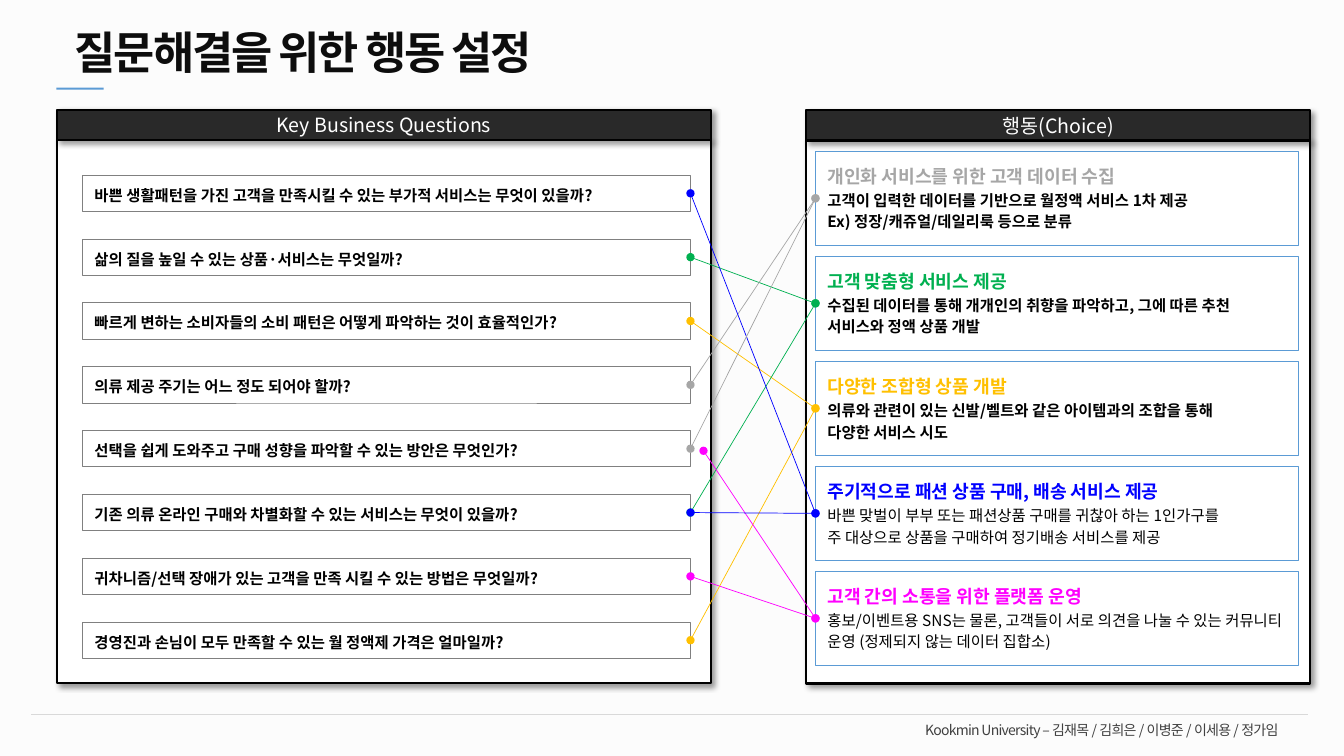
from lxml.etree import SubElement as Sub
from pptx import Presentation
from pptx.dml.color import RGBColor as RGB
from pptx.enum.shapes import MSO_CONNECTOR as CONN, MSO_SHAPE as SHAPE
from pptx.enum.text import MSO_ANCHOR as ANCHOR, PP_ALIGN as ALIGN
from pptx.oxml.ns import qn
from pptx.util import Pt

FONT = "Noto Sans CJK KR"
COLORS = {
    "white": "FFFFFF", "black": "000000", "veil": "F2F2F2", "bar": "292929",
    "title": "0D0D0D", "foot": "404040", "rule": "D9D9D9", "edge": "808080",
    "accent": "5B9BD5", "gray": "A6A6A6", "green": "00B050",
    "gold": "FFC000", "blue": "0000FF", "pink": "FF00FF",
}
ASKS = [
    "바쁜 생활패턴을 가진 고객을 만족시킬 수 있는 부가적 서비스는 무엇이 있을까?",
    "삶의 질을 높일 수 있는 상품·서비스는 무엇일까?",
    "빠르게 변하는 소비자들의 소비 패턴은 어떻게 파악하는 것이 효율적인가?",
    "의류 제공 주기는 어느 정도 되어야 할까?",
    "선택을 쉽게 도와주고 구매 성향을 파악할 수 있는 방안은 무엇인가?",
    "기존 의류 온라인 구매와 차별화할 수 있는 서비스는 무엇이 있을까?",
    "귀차니즘/선택 장애가 있는 고객을 만족 시킬 수 있는 방법은 무엇일까?",
    "경영진과 손님이 모두 만족할 수 있는 월 정액제 가격은 얼마일까?",
]
PICKS = [
    ("gray", True, "개인화 서비스를 위한 고객 데이터 수집",
     ["고객이 입력한 데이터를 기반으로 월정액 서비스 1차 제공",
      "Ex) 정장/캐쥬얼/데일리룩 등으로 분류"]),
    ("green", True, "고객 맞춤형 서비스 제공",
     ["수집된 데이터를 통해 개개인의 취향을 파악하고, 그에 따른 추천",
      "서비스와 정액 상품 개발"]),
    ("gold", True, "다양한 조합형 상품 개발",
     ["의류와 관련이 있는 신발/벨트와 같은 아이템과의 조합을 통해",
      "다양한 서비스 시도"]),
    ("blue", False, "주기적으로 패션 상품 구매, 배송 서비스 제공",
     ["바쁜 맞벌이 부부 또는 패션상품 구매를 귀찮아 하는 1인가구를",
      "주 대상으로 상품을 구매하여 정기배송 서비스를 제공"]),
    ("pink", False, "고객 간의 소통을 위한 플랫폼 운영",
     ["홍보/이벤트용 SNS는 물론, 고객들이 서로 의견을 나눌 수 있는 "
      "커뮤니티 운영 (정제되지 않는 데이터 집합소)"]),
]
LINKS = [(2, 2), (5, 1), (6, 4), (1, 1), (3, 0), (7, 2), (0, 3), (4, 0),
         (None, 4), (5, 3)]
LOOSE = (502.5, 322)


def color(key):
    return RGB.from_string(COLORS[key])


def rect(slide, box, fill, edge=None, width=0.5):
    shape = slide.shapes.add_shape(SHAPE.RECTANGLE, *map(Pt, box))
    shape.fill.solid()
    shape.fill.fore_color.rgb = color(fill)
    if edge:
        shape.line.color.rgb = color(edge)
        shape.line.width = Pt(width)
    else:
        shape.line.fill.background()
    shape.shadow.inherit = False
    return shape


def line(slide, start, end, key, width):
    conn = slide.shapes.add_connector(CONN.STRAIGHT, *map(Pt, start + end))
    conn.line.color.rgb = color(key)
    conn.line.width = Pt(width)
    Sub(conn._element.spPr, qn("a:effectLst"))
    return conn


def write(para, text, size, key, bold=False, track=0):
    run = para.add_run()
    run.text = text
    font = run.font
    font.size, font.bold = Pt(size), bold
    font.color.rgb = color(key)
    font.name = FONT
    props = run._r.get_or_add_rPr()
    Sub(props, qn("a:ea"), typeface=FONT)
    if track:
        props.set("spc", str(int(track * 100)))


def shade(shape):
    effects = shape._element.spPr.find(qn("a:effectLst"))
    drop = Sub(effects, qn("a:outerShdw"), blurRad=str(Pt(4)),
               dist=str(Pt(3)), dir="2700000", algn="tl", rotWithShape="0")
    tone = Sub(drop, qn("a:srgbClr"), val=COLORS["black"])
    Sub(tone, qn("a:alpha"), val="40000")


def base(slide, box):
    left, top, wide, high = box
    veil = rect(slide, box, "veil")
    tone = veil._element.spPr.find(qn("a:solidFill"))[0]
    Sub(tone, qn("a:alpha"), val="20000")
    low = top + high - 29.5
    line(slide, (left + 22.3, low), (left + wide - 25.4, low), "rule", 0.75)
    foot = slide.shapes.add_textbox(
        Pt(left + 653.8), Pt(low + 3.6), Pt(287.3), Pt(19.4)).text_frame
    foot.word_wrap = True
    foot.paragraphs[0].line_spacing = 0.8
    write(foot.paragraphs[0],
          "Kookmin University – 김재목 / 김희은 / 이병준 / 이세용 / 정가임",
          10, "foot", track=-0.5)


def head(slide, box):
    left, top, wide, high = box
    frame = slide.shapes.add_textbox(*map(Pt, box)).text_frame
    frame.word_wrap = False
    para = frame.paragraphs[0]
    para.alignment = ALIGN.CENTER
    write(para, "질문해결을 위한 행동 설정", 32, "title", True, -1.5)
    rect(slide, (left + 11.5, top + high + 2.2, 33.8, 1.4), "accent")


def panel(slide, box, title):
    left, top, wide, high = box
    bar = 21.8
    shade(rect(slide, (left, top + bar, wide, high - bar),
               "white", "black", 1.5))
    shape = rect(slide, (left, top, wide, bar), "bar", "black", 1.5)
    shade(shape)
    frame = shape.text_frame
    frame.vertical_anchor = ANCHOR.MIDDLE
    para = frame.paragraphs[0]
    para.alignment = ALIGN.CENTER
    write(para, title, 14, "white")


def card(slide, box, edge, rows, right=8.5):
    shape = rect(slide, box, "white", edge)
    frame = shape.text_frame
    frame.word_wrap = True
    frame.vertical_anchor = ANCHOR.MIDDLE
    frame.margin_left, frame.margin_right = Pt(8.5), Pt(right)
    frame.margin_top = frame.margin_bottom = Pt(5.67)
    for i, row in enumerate(rows):
        para = frame.add_paragraph() if i else frame.paragraphs[0]
        para.alignment = ALIGN.LEFT
        para.line_spacing = Pt(15.6)
        write(para, *row)
    return shape


def asks(slide, box):
    left, top, wide, high = box
    panel(slide, box, "Key Business Questions")
    return [card(slide, (left + 18.5, top + 46.8 + 45.6 * i, 434.2, 26),
                 "edge", [(text, 11, "black", True)])
            for i, text in enumerate(ASKS)]


def picks(slide, box):
    left, top, wide, high = box
    panel(slide, box, "행동(Choice)")
    cards = []
    for i, (key, bold, title, notes) in enumerate(PICKS):
        rows = [(title, 13, key, True)]
        rows += [(note, 11, "black", bold) for note in notes]
        cards.append(card(slide, (left + 6.7, top + 29.6 + 75 * i, 345, 67),
                          "accent", rows, 8.5 if len(notes) > 1 else 0))
    return cards


def join(slide, left, right):
    for ask, pick in LINKS:
        conn = line(slide, LOOSE, LOOSE, PICKS[pick][0], 0.5)
        if ask is not None:
            conn.begin_connect(left[ask], 3)
        conn.end_connect(right[pick], 1)
        edge = conn.line._get_or_add_ln()
        for tag in ("a:headEnd", "a:tailEnd"):
            Sub(edge, qn(tag), type="oval")


def main():
    deck = Presentation()
    deck.slide_width, deck.slide_height = Pt(960), Pt(540)
    slide = deck.slides.add_slide(deck.slide_layouts[6])
    base(slide, (0, 0, 960, 540))
    left = asks(slide, (40.5, 78.3, 467.3, 409.7))
    right = picks(slide, (575.8, 78.6, 360, 409.7))
    join(slide, left, right)
    head(slide, (28.8, 14.4, 375.8, 46))
    deck.save("out.pptx")


if __name__ == "__main__":
    main()
